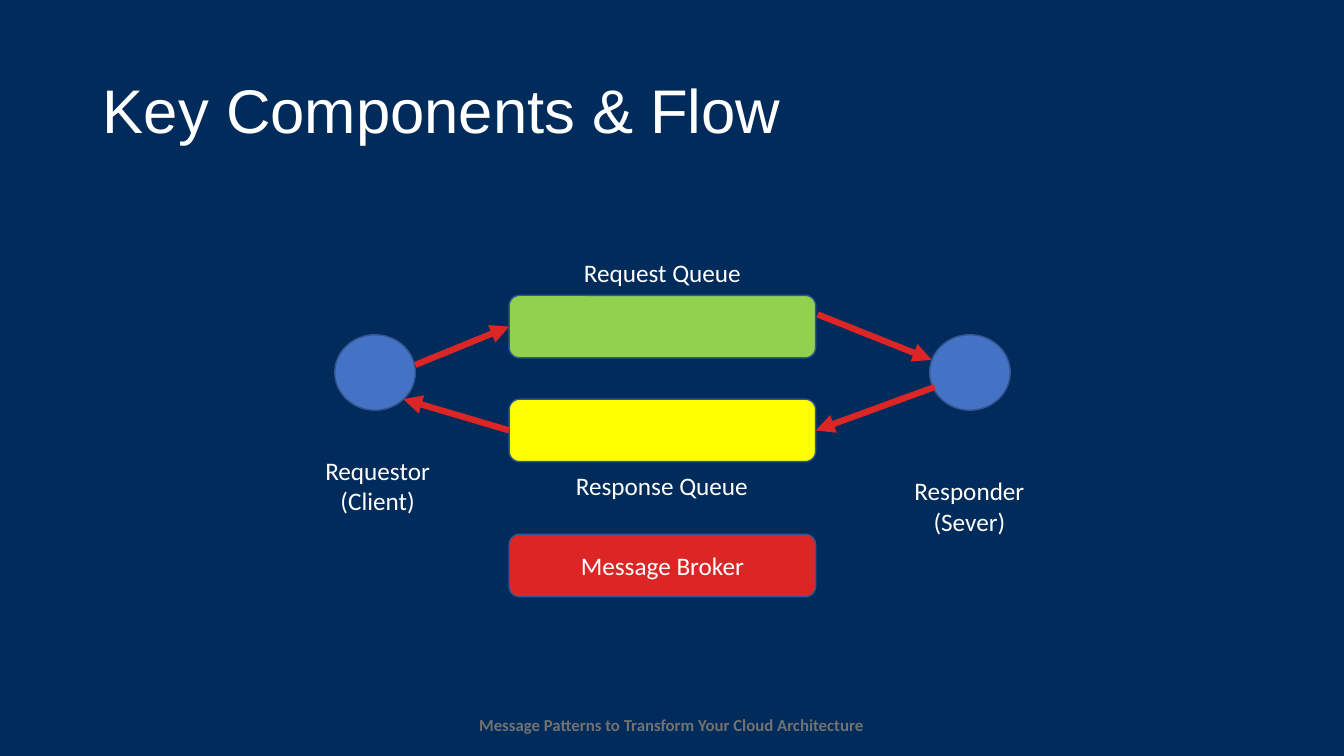
from dataclasses import dataclass

from lxml import etree
from pptx import Presentation
from pptx.dml.color import RGBColor
from pptx.enum.shapes import MSO_CONNECTOR, MSO_SHAPE
from pptx.enum.text import MSO_ANCHOR, MSO_AUTO_SIZE, PP_ALIGN
from pptx.oxml.ns import qn
from pptx.util import Inches, Pt

OVAL, ROUNDED = MSO_SHAPE.OVAL, MSO_SHAPE.ROUNDED_RECTANGLE
STRAIGHT = MSO_CONNECTOR.STRAIGHT
LEFT, CENTER = PP_ALIGN.LEFT, PP_ALIGN.CENTER
MIDDLE, TOP = MSO_ANCHOR.MIDDLE, MSO_ANCHOR.TOP
LEFT_SIDE, RIGHT_SIDE = 1, 3


@dataclass(frozen=True)
class Theme:
    background: str = "002B5B"
    text: str = "FFFFFF"
    footer: str = "727272"
    outline: str = "325491"
    endpoint: str = "4472C4"
    request: str = "92D050"
    response: str = "FFFF00"
    accent: str = "DC2626"
    title_font: str = "Arial"
    body_font: str = "Calibri"
    title_size: int = 44
    label_size: int = 18
    footer_size: int = 12
    outline_width: float = 1
    arrow_width: float = 4.5


THEME = Theme()

TITLE = "Key Components & Flow"
FOOTER = "Message Patterns to Transform Your Cloud Architecture"
# label lines, circle left, label box
ENDPOINTS = [
    (["Requestor", "(Client)"], 3.32, (3.12, 4.47, 1.25, 0.71)),
    (["Responder", "(Sever)"], 9.22, (8.96, 4.67, 1.31, 0.71)),
]
# key, label, bar top, fill, label box
QUEUES = [
    ("request", "Request Queue", 2.93, THEME.request, (5.68, 2.5, 1.78, 0.4)),
    ("response", "Response Queue", 3.96, THEME.response, (5.6, 4.62, 1.93, 0.4)),
]
BROKER, BROKER_TOP = "Message Broker", 5.3
# start, end: a free point or a (queue, side) joint
FLOW = [
    ((4.12, 3.62), ("request", LEFT_SIDE)),
    ((8.11, 3.12), (9.24, 3.57)),
    ((9.27, 3.84), ("response", RIGHT_SIDE)),
    (("response", LEFT_SIDE), (4, 3.96)),
]

CIRCLE_TOP, CIRCLE_SIZE = 3.32, (0.8, 0.75)
BAR_LEFT, BAR_SIZE = 5.05, (3.04, 0.62)


def rgb(value):
    return RGBColor.from_string(value)


def write(frame, lines, align=CENTER, anchor=TOP, spacing=None, color=THEME.text, **font):
    frame.vertical_anchor = anchor
    frame.text = "\n".join(lines)
    font = {"name": THEME.body_font, "size": Pt(THEME.label_size), **font}
    for paragraph in frame.paragraphs:
        paragraph.alignment = align
        paragraph.line_spacing = spacing
        for run in paragraph.runs:
            for attribute, value in font.items():
                setattr(run.font, attribute, value)
            run.font.color.rgb = rgb(color)


def add_label(shapes, box, lines, **style):
    frame = shapes.add_textbox(*map(Inches, box)).text_frame
    frame.word_wrap = False
    frame.auto_size = MSO_AUTO_SIZE.SHAPE_TO_FIT_TEXT
    write(frame, lines, **style)


def add_node(shapes, kind, left, top, size, fill):
    node = shapes.add_shape(kind, *map(Inches, (left, top, *size)))
    node.shadow.inherit = False
    node.fill.solid()
    node.fill.fore_color.rgb = rgb(fill)
    node.line.color.rgb = rgb(THEME.outline)
    node.line.width = Pt(THEME.outline_width)
    return node


def add_arrow(shapes, start, end, bars):
    """Draw an arrow whose ends are free points or joints to queue bars."""
    points = [(0, 0) if end_[0] in bars else end_ for end_ in (start, end)]
    arrow = shapes.add_connector(STRAIGHT, *(Inches(v) for point in points for v in point))
    for target, connect in ((start, arrow.begin_connect), (end, arrow.end_connect)):
        if target[0] in bars:
            connect(bars[target[0]], target[1])
    arrow.line.color.rgb = rgb(THEME.accent)
    arrow.line.width = Pt(THEME.arrow_width)
    etree.SubElement(arrow.line._get_or_add_ln(), qn("a:tailEnd"), type="triangle")
    etree.SubElement(arrow._element.spPr, qn("a:effectLst"))


def main():
    deck = Presentation()
    deck.slide_width, deck.slide_height = Inches(13.33), Inches(7.5)
    slide = deck.slides.add_slide(deck.slide_layouts[5])
    slide.background.fill.solid()
    slide.background.fill.fore_color.rgb = rgb(THEME.background)
    shapes = slide.shapes

    title = shapes.title
    title.left, title.top, title.width, title.height = map(Inches, (0.92, 0.4, 11.5, 1.45))
    write(title.text_frame, [TITLE], align=LEFT, anchor=MIDDLE, spacing=0.9,
          name=THEME.title_font, size=Pt(THEME.title_size))
    add_label(shapes, (4.63, 7.04, 4.06, 0.3), [FOOTER], color=THEME.footer,
              size=Pt(THEME.footer_size), bold=True)

    for lines, left, label_box in ENDPOINTS:
        endpoint = shapes.add_group_shape().shapes
        add_node(endpoint, OVAL, left, CIRCLE_TOP, CIRCLE_SIZE, THEME.endpoint)
        add_label(endpoint, label_box, lines)

    bars = {}
    for key, label, top, fill, label_box in QUEUES:
        queue = shapes.add_group_shape().shapes
        bars[key] = add_node(queue, ROUNDED, BAR_LEFT, top, BAR_SIZE, fill)
        add_label(queue, label_box, [label])

    broker = add_node(shapes, ROUNDED, BAR_LEFT, BROKER_TOP, BAR_SIZE, THEME.accent)
    write(broker.text_frame, [BROKER], anchor=MIDDLE)

    for start, end in FLOW:
        add_arrow(shapes, start, end, bars)

    deck.save("out.pptx")


if __name__ == "__main__":
    main()
